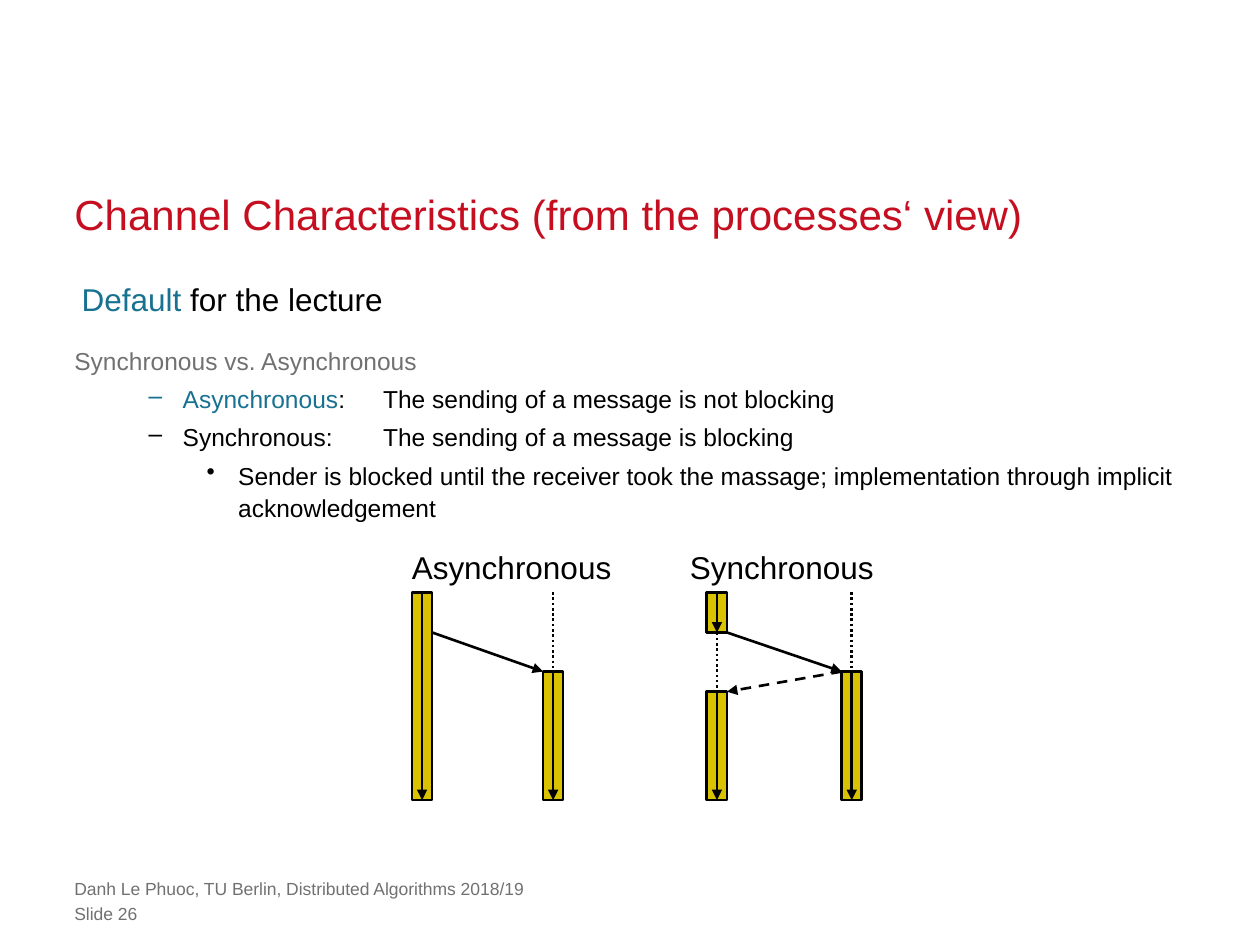
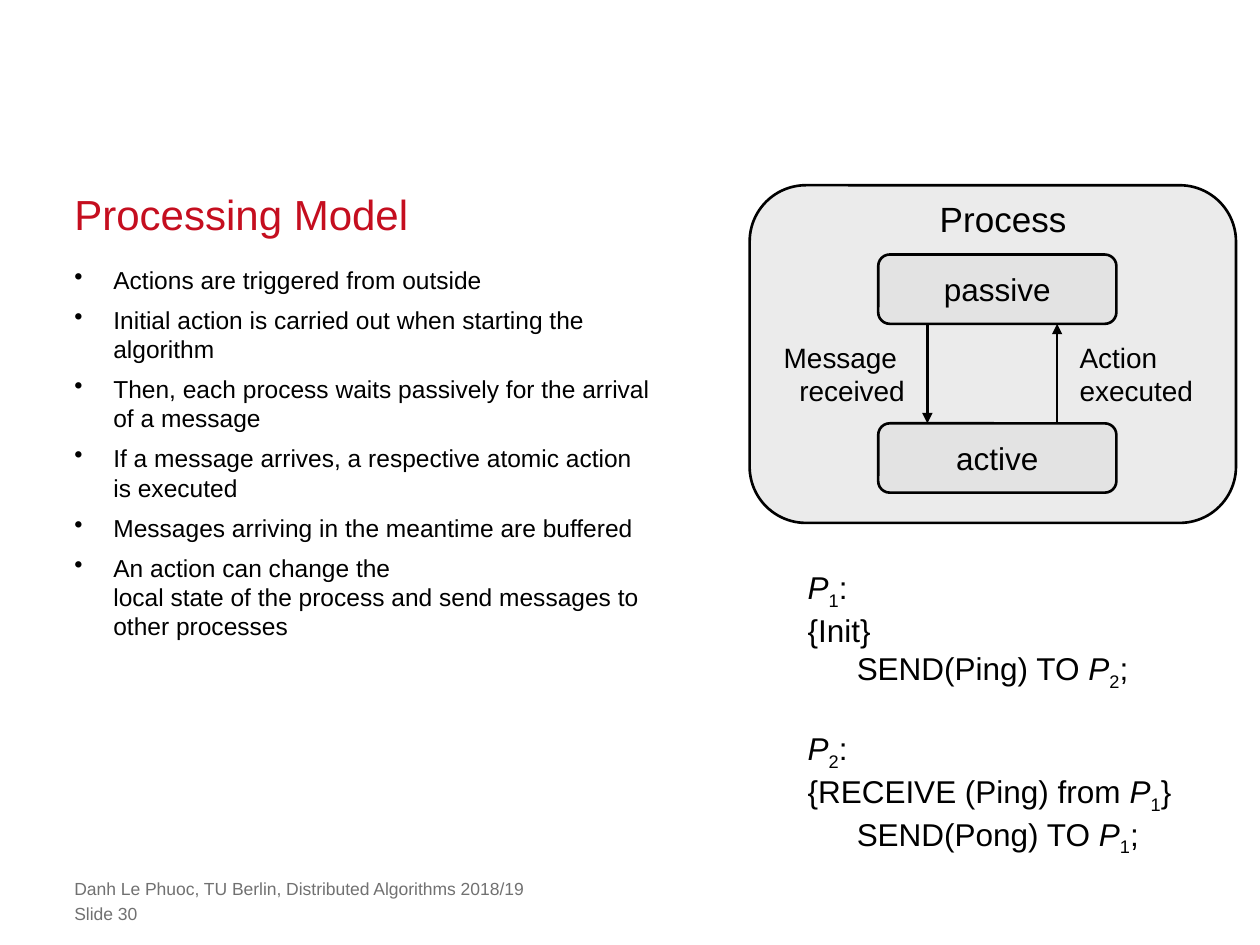
from lxml import etree
from pptx import Presentation
from pptx.dml.color import RGBColor
from pptx.enum.dml import MSO_LINE
from pptx.enum.shapes import MSO_CONNECTOR, MSO_SHAPE
from pptx.enum.text import MSO_ANCHOR, MSO_AUTO_SIZE, PP_ALIGN
from pptx.oxml.ns import qn
from pptx.util import Inches, Pt

FONT = "Arial"
RED, TEAL, GRAY, BLACK = "C50E1F", "177191", "717171", "000000"
YELLOW, PANEL_GRAY, STATE_GRAY = "D9C200", "EBEBEB", "E3E3E3"
LINE_WIDTH = Pt(1.5)
MARGIN = 0.59
FOOTER = "Danh Le Phuoc, TU Berlin, Distributed Algorithms 2018/19"

BAR_WIDTH = 0.16
TIME_START, TIME_SENT, TIME_RECEIVED, TIME_RESUMED, TIME_END = 4.7, 5.02, 5.33, 5.49, 6.35

ACTIONS = [
    "Actions are triggered from outside",
    "Initial action is carried out when starting the algorithm",
    "Then, each process waits passively for the arrival of a message",
    "If a message arrives, a respective atomic action is executed",
    "Messages arriving in the meantime are buffered",
    "An action can change the \vlocal state of the process and send messages to other processes",
]
# Process names stand between bars; their last character is a subscript.
PROGRAMS = [
    ["|P1|:", "{Init}", "SEND(Ping) TO |P2|;"],
    ["|P2|:", "{RECEIVE (Ping) from |P1|}", "SEND(Pong) TO |P1|;"],
]


def color(hex_string):
    return RGBColor.from_string(hex_string)


def format_run(run, size, hex_string=BLACK):
    run.font.name = FONT
    run.font.size = Pt(size)
    run.font.color.rgb = color(hex_string)


def format_paragraphs(text_frame, size, hex_string=BLACK, alignment=PP_ALIGN.LEFT):
    for paragraph in text_frame.paragraphs:
        paragraph.alignment = alignment
        for run in paragraph.runs:
            format_run(run, size, hex_string)


def remove_insets(text_frame):
    text_frame.margin_left = text_frame.margin_right = 0
    text_frame.margin_top = text_frame.margin_bottom = 0


def add_text_area(slide, left, top, width, height):
    """Add an empty wrapping text box without insets."""
    text_box = slide.shapes.add_textbox(Inches(left), Inches(top), Inches(width), Inches(height))
    text_box.text_frame.word_wrap = True
    remove_insets(text_box.text_frame)
    return text_box.text_frame


def add_label(slide, text, left, top, width, height, size, alignment=PP_ALIGN.LEFT):
    """Add a text box that fits its unwrapped text."""
    text_box = slide.shapes.add_textbox(Inches(left), Inches(top), Inches(width), Inches(height))
    text_frame = text_box.text_frame
    text_frame.text = text
    text_frame.word_wrap = False
    text_frame.auto_size = MSO_AUTO_SIZE.SHAPE_TO_FIT_TEXT
    format_paragraphs(text_frame, size, alignment=alignment)
    return text_frame


def add_run(paragraph, text, size, hex_string=BLACK):
    run = paragraph.add_run()
    run.text = text
    format_run(run, size, hex_string)
    return run


def next_paragraph(text_frame, is_first):
    return text_frame.paragraphs[0] if is_first else text_frame.add_paragraph()


def set_indent(paragraph, left, hanging=0, bullet=None, tab=None):
    properties = paragraph._p.get_or_add_pPr()
    properties.set("marL", str(Inches(left)))
    properties.set("indent", str(-Inches(hanging)))
    if bullet:
        etree.SubElement(properties, qn("a:buChar"), char=bullet)
    if tab:
        tab_list = etree.SubElement(properties, qn("a:tabLst"))
        etree.SubElement(tab_list, qn("a:tab"), pos=str(Inches(tab)), algn="l")


def add_box(slide, preset, left, top, width, height, fill):
    shape = slide.shapes.add_shape(preset, Inches(left), Inches(top), Inches(width), Inches(height))
    shape.shadow.inherit = False
    shape.fill.solid()
    shape.fill.fore_color.rgb = color(fill)
    shape.line.color.rgb = color(BLACK)
    shape.line.width = LINE_WIDTH
    return shape


def add_line(slide, start, end, arrow=True, dash=None):
    connector = slide.shapes.add_connector(
        MSO_CONNECTOR.STRAIGHT, *(Inches(value) for value in (*start, *end)))
    connector.line.color.rgb = color(BLACK)
    connector.line.width = LINE_WIDTH
    if dash:
        connector.line.dash_style = dash
    if arrow:
        etree.SubElement(connector.line._get_or_add_ln(), qn("a:tailEnd"), type="triangle")
    etree.SubElement(connector._element.spPr, qn("a:effectLst"))
    return connector


def add_activity(slide, left, top, bottom):
    """Add a bar for the time a process is running, with its time arrow."""
    bar = add_box(slide, MSO_SHAPE.RECTANGLE, left, top, BAR_WIDTH, bottom - top, YELLOW)
    middle = left + BAR_WIDTH / 2
    arrow = add_line(slide, (middle, top), (middle, bottom))
    arrow.begin_connect(bar, 0)
    arrow.end_connect(bar, 2)
    return bar


def add_waiting(slide, left, top, next_bar, bottom, previous_bar=None):
    """Add a dotted line for the time before next_bar starts."""
    middle = left + BAR_WIDTH / 2
    line = add_line(slide, (middle, top), (middle, bottom), arrow=False,
                    dash=MSO_LINE.ROUND_DOT)
    if previous_bar is not None:
        line.begin_connect(previous_bar, 2)
    line.end_connect(next_bar, 0)


def add_message(slide, sender, receiver):
    """Add a receiver's time line and the message that starts it."""
    bar = add_activity(slide, receiver, TIME_RECEIVED, TIME_END)
    add_waiting(slide, receiver, TIME_START, bar, TIME_RECEIVED)
    add_line(slide, (sender + BAR_WIDTH, TIME_SENT), (receiver, TIME_RECEIVED))


def add_content_slide(presentation, title, number):
    slide = presentation.slides.add_slide(presentation.slide_layouts[5])
    shape = slide.shapes.title
    shape.left, shape.top = Inches(MARGIN), Inches(1.48)
    shape.width, shape.height = Inches(8.82), Inches(0.42)
    text_frame = shape.text_frame
    text_frame.text = title
    text_frame.auto_size = MSO_AUTO_SIZE.NONE
    text_frame.vertical_anchor = MSO_ANCHOR.BOTTOM
    remove_insets(text_frame)
    format_paragraphs(text_frame, 24, RED)
    text_frame.paragraphs[0].line_spacing = Pt(30)
    for top, text in ((6.97, FOOTER), (7.17, f"Slide {number}")):
        footer = add_text_area(slide, MARGIN, top, 7.24, 0.17)
        footer.text = text
        format_paragraphs(footer, 10, GRAY)
    return slide


def add_channel_text(slide):
    text_frame = add_text_area(slide, MARGIN, 2.72, 8.82, 3.84)
    dash = {"left": 0.86, "hanging": 0.27, "bullet": "–", "tab": 2.45}
    dot = {"left": 1.3, "hanging": 0.25, "bullet": "•"}
    lines = [
        ([("Synchronous vs. Asynchronous", GRAY)], None),
        ([("Asynchronous", TEAL), (": \tThe sending of a message is not blocking", BLACK)], dash),
        ([("Synchronous:\tThe sending of a message is blocking", BLACK)], dash),
        ([("Sender is blocked until the receiver took the massage; "
           "implementation through implicit acknowledgement", BLACK)], dot),
    ]
    for index, (runs, indent) in enumerate(lines):
        paragraph = next_paragraph(text_frame, index == 0)
        paragraph.line_spacing = 1.1
        if indent:
            paragraph.space_before = Pt(3.4)
            set_indent(paragraph, **indent)
        for text, hex_string in runs:
            add_run(paragraph, text, 14, hex_string)


def add_channel_diagrams(slide):
    sender, receiver = 3.27, 4.31
    add_label(slide, "Asynchronous", 3.17, 4.3, 1.8, 0.4, 18)
    add_activity(slide, sender, TIME_START, TIME_END)
    add_message(slide, sender, receiver)

    sender, receiver = 5.61, 6.68
    add_label(slide, "Synchronous", 5.37, 4.3, 1.67, 0.4, 18, PP_ALIGN.CENTER)
    sending = add_activity(slide, sender, TIME_START, TIME_SENT)
    resumed = add_activity(slide, sender, TIME_RESUMED, TIME_END)
    add_waiting(slide, sender, TIME_SENT, resumed, TIME_RESUMED, sending)
    add_message(slide, sender, receiver)
    add_line(slide, (receiver, TIME_RECEIVED), (sender + BAR_WIDTH, TIME_RESUMED),
             dash=MSO_LINE.DASH)


def add_action_list(slide):
    text_frame = add_text_area(slide, MARGIN, 2.1, 4.57, 4.45)
    for index, action in enumerate(ACTIONS):
        paragraph = next_paragraph(text_frame, index == 0)
        paragraph.text = action
        paragraph.space_after = Pt(6)
        set_indent(paragraph, 0.31, 0.31, "•")
    format_paragraphs(text_frame, 14)


def add_state_diagram(slide):
    add_box(slide, MSO_SHAPE.ROUNDED_RECTANGLE, 5.95, 1.47, 3.86, 2.68, PANEL_GRAY)
    add_label(slide, "Process", 7.36, 1.52, 1.22, 0.44, 20)
    passive_top, active_top, state_height = 2.02, 3.36, 0.55
    for state, top in (("passive", passive_top), ("active", active_top)):
        shape = add_box(slide, MSO_SHAPE.ROUNDED_RECTANGLE, 6.97, top, 1.89, state_height,
                        STATE_GRAY)
        shape.text_frame.text = state
        shape.text_frame.word_wrap = False
        shape.text_frame.vertical_anchor = MSO_ANCHOR.MIDDLE
        format_paragraphs(shape.text_frame, 18, alignment=PP_ALIGN.CENTER)
    passive_bottom = passive_top + state_height
    add_line(slide, (7.36, passive_bottom), (7.36, active_top))
    add_line(slide, (8.39, active_top), (8.39, passive_bottom))
    add_label(slide, "Message \nreceived", 6.11, 2.65, 1.17, 0.64, 16, PP_ALIGN.RIGHT)
    add_label(slide, "Action\nexecuted", 8.47, 2.65, 1.11, 0.64, 16)


def add_code_line(paragraph, line):
    for index, piece in enumerate(line.split("|")):
        if index % 2:
            add_run(paragraph, piece[:-1], 18).font.italic = True
            subscript = add_run(paragraph, piece[-1], 18)
            subscript.font._element.set("baseline", "-25000")
        elif piece:
            add_run(paragraph, piece, 18)


def add_programs(slide):
    text_frame = add_text_area(slide, 6.41, 4.51, 3.1, 2.3)
    for program_index, program in enumerate(PROGRAMS):
        for line_index, line in enumerate(program):
            paragraph = next_paragraph(text_frame, program_index == line_index == 0)
            add_code_line(paragraph, line)
            if line.startswith("SEND"):
                set_indent(paragraph, 0.39)
            if program_index and line_index == 0:
                paragraph.space_before = Pt(21)


def main():
    presentation = Presentation()
    presentation.slide_width, presentation.slide_height = Inches(10), Inches(7.5)

    channel_slide = add_content_slide(
        presentation, "Channel Characteristics (from the processes‘ view)", 26)
    add_channel_text(channel_slide)
    default_note = add_label(channel_slide, "Default ", 0.55, 2.17, 2.61, 0.4, 18)
    format_paragraphs(default_note, 18, TEAL)
    add_run(default_note.paragraphs[0], "for the lecture", 18)
    add_channel_diagrams(channel_slide)

    processing_slide = add_content_slide(presentation, "Processing Model", 30)
    add_action_list(processing_slide)
    add_state_diagram(processing_slide)
    add_programs(processing_slide)

    presentation.save("out.pptx")


if __name__ == "__main__":
    main()
